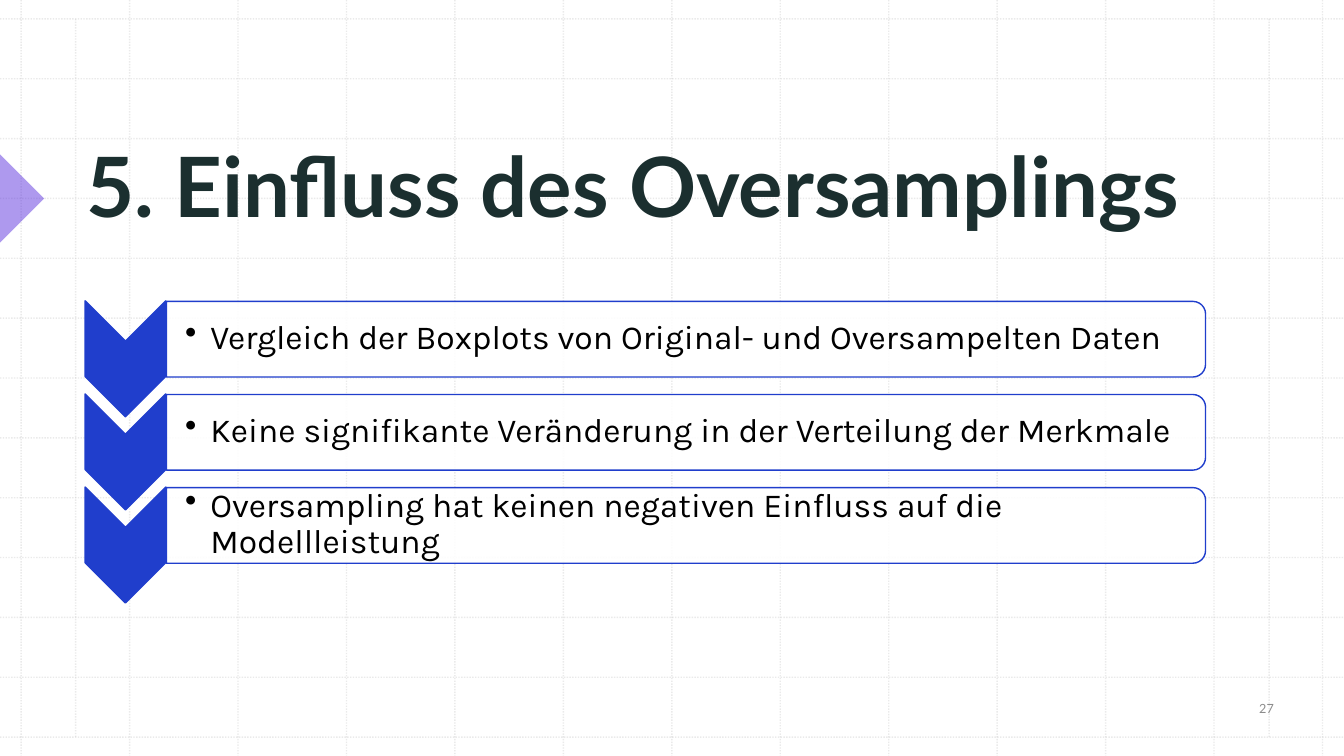
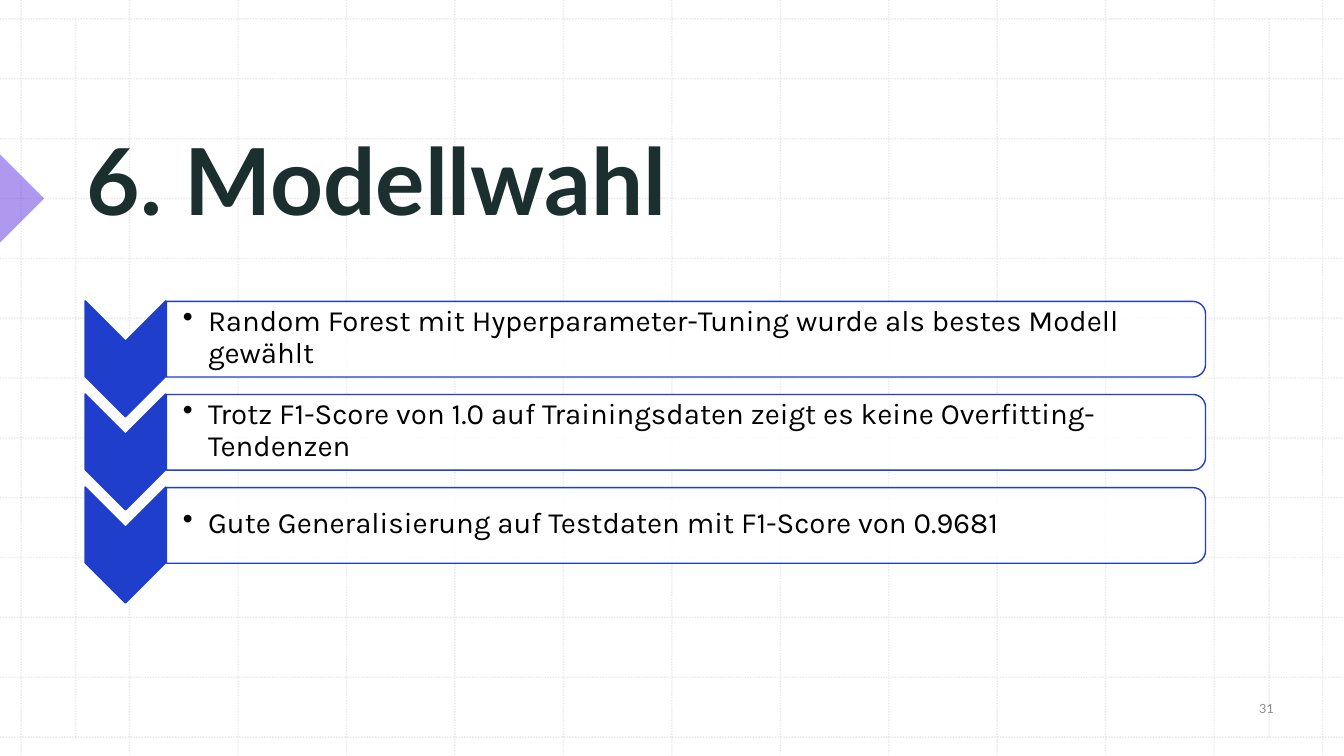
from lxml.etree import SubElement
from pptx import Presentation
from pptx.dml.color import RGBColor
from pptx.enum.dml import MSO_LINE
from pptx.enum.shapes import MSO_CONNECTOR, MSO_SHAPE
from pptx.enum.text import MSO_ANCHOR, PP_ALIGN
from pptx.oxml.ns import qn
from pptx.util import Pt

# Shared style
COLORS = {
    "grid": "BCBCBC",
    "accent": "5E34DE",
    "blue": "203ECC",
    "panel": "FFFFFF",
    "title": "1B2F2F",
    "body": "000000",
    "number": "8C8C8C",
}
TITLE_FONT, BODY_FONT = "Lato", "Karla"
WIDTH, HEIGHT = 960, 540

# Background grid: equal cells, plus a frame at the side margins
GRID_CELLS = 12
GRID_LEFT, GRID_TOP = 15.12, 13.5
COLUMN_STEP, ROW_STEP = 77.46, 42.75
FRAME_SIDES = (54, 906.5)

# Chevron list
ROW_PITCH = 66.5
CHEVRON = (60.8, 214.9, 57.6, 82.8)
PANEL = (118.8, 215.3, 742.3, 54)
PANEL_TEXT = (118.8, 217.5, 740.2, 48.2)
BULLET_INDENT = 18

SLIDES = [
    {
        "title": "5. Einfluss des Oversamplings",
        "title_size": 59.4,
        "number": 27,
        "body_size": 24,
        "insets": (13.5, 1.2),
        "points": [
            "Vergleich der Boxplots von Original- und Oversampelten Daten",
            "Keine signifikante Veränderung in der Verteilung der Merkmale",
            "Oversampling hat keinen negativen Einfluss auf die Modellleistung",
        ],
    },
    {
        "title": "6. Modellwahl",
        "title_size": 66,
        "number": 31,
        "body_size": 21,
        "insets": (11.8, 1),
        "points": [
            "Random Forest mit Hyperparameter-Tuning wurde als bestes Modell gewählt",
            "Trotz F1-Score von 1.0 auf Trainingsdaten zeigt es keine Overfitting-Tendenzen",
            "Gute Generalisierung auf Testdaten mit F1-Score von 0.9681",
        ],
    },
]


def color(name):
    return RGBColor.from_string(COLORS[name])


def set_opacity(fill, percent):
    """Make a solid fill partly transparent."""
    hue = fill._xPr.find(qn("a:solidFill"))[0]
    SubElement(hue, qn("a:alpha"), val=str(percent * 1000))


def add_grid_line(page, x1, y1, x2, y2):
    line = page.shapes.add_connector(
        MSO_CONNECTOR.STRAIGHT, Pt(x1), Pt(y1), Pt(x2), Pt(y2))
    line.line.color.rgb = color("grid")
    line.line.width = Pt(1)
    line.line.dash_style = MSO_LINE.ROUND_DOT
    set_opacity(line.line.fill, 30)
    SubElement(line._element.spPr, qn("a:effectLst"))


def add_turned_shape(page, kind, frame, angle, fill, opacity=100, outline=None):
    """Add a shape turned by angle; frame is its box once turned by 90 degrees."""
    left, top, width, height = frame
    shift = (width - height) / 2
    shape = page.shapes.add_shape(
        kind, Pt(left + shift), Pt(top - shift), Pt(height), Pt(width))
    shape.rotation = angle
    shape.shadow.inherit = False
    shape.fill.solid()
    shape.fill.fore_color.rgb = color(fill)
    if opacity < 100:
        set_opacity(shape.fill, opacity)
    if outline:
        shape.line.color.rgb = color(outline)
        shape.line.width = Pt(1)
    else:
        shape.line.fill.background()


def add_text(page, frame, text, font, size, ink, anchor=MSO_ANCHOR.MIDDLE,
             align=PP_ALIGN.LEFT, bold=False, insets=(7.2, 3.6), bullet=False):
    box = page.shapes.add_textbox(*map(Pt, frame))
    body = box.text_frame
    body.word_wrap = True
    body.vertical_anchor = anchor
    body.margin_left = Pt(insets[0])
    body.margin_right = Pt(insets[1] if bullet else insets[0])
    body.margin_top = body.margin_bottom = Pt(insets[1])
    para = body.paragraphs[0]
    para.text = text
    para.alignment = align
    if bullet:
        para.line_spacing = 0.9
        properties = para._p.get_or_add_pPr()
        properties.set("marL", str(Pt(BULLET_INDENT)))
        properties.set("indent", str(-Pt(BULLET_INDENT)))
        SubElement(properties, qn("a:buChar"), char="•")
    para.font.name = font
    para.font.size = Pt(size)
    para.font.bold = bold
    para.font.color.rgb = color(ink)


def add_background(page):
    for index in range(GRID_CELLS + 1):
        x = GRID_LEFT + index * COLUMN_STEP
        y = GRID_TOP + index * ROW_STEP
        add_grid_line(page, x, 0, x, HEIGHT)
        add_grid_line(page, 0, y, WIDTH, y)
    for x in FRAME_SIDES:
        add_grid_line(page, x, GRID_TOP, x, GRID_TOP + GRID_CELLS * ROW_STEP)
    # Arrow at the left edge
    add_turned_shape(page, MSO_SHAPE.RIGHT_TRIANGLE, (-22.3, 119.5, 44.6, 44.6),
                     225, "accent", opacity=50)


def add_chevron_list(page, points, size, insets):
    for index, point in enumerate(points):
        chevron, panel, text_frame = (
            (left, top + index * ROW_PITCH, width, height)
            for left, top, width, height in (CHEVRON, PANEL, PANEL_TEXT))
        add_turned_shape(page, MSO_SHAPE.CHEVRON, chevron, 90, "blue",
                         outline="blue")
        add_turned_shape(page, MSO_SHAPE.ROUND_2_SAME_RECTANGLE, panel, 90,
                         "panel", opacity=90, outline="blue")
        add_text(page, text_frame, point, BODY_FONT, size, "body",
                 insets=insets, bullet=True)


def add_page(deck, content):
    page = deck.slides.add_slide(deck.slide_layouts[6])
    add_background(page)
    add_text(page, (54.7, 56.9, 812.9, 113.8), content["title"], TITLE_FONT,
             content["title_size"], "title", anchor=MSO_ANCHOR.BOTTOM, bold=True)
    add_text(page, (866.2, 489.6, 77, 33.1), str(content["number"]), TITLE_FONT,
             9, "number", align=PP_ALIGN.CENTER)
    add_chevron_list(page, content["points"], content["body_size"],
                     content["insets"])


def main():
    deck = Presentation()
    deck.slide_width, deck.slide_height = Pt(WIDTH), Pt(HEIGHT)
    for content in SLIDES:
        add_page(deck, content)
    deck.save("out.pptx")


if __name__ == "__main__":
    main()
